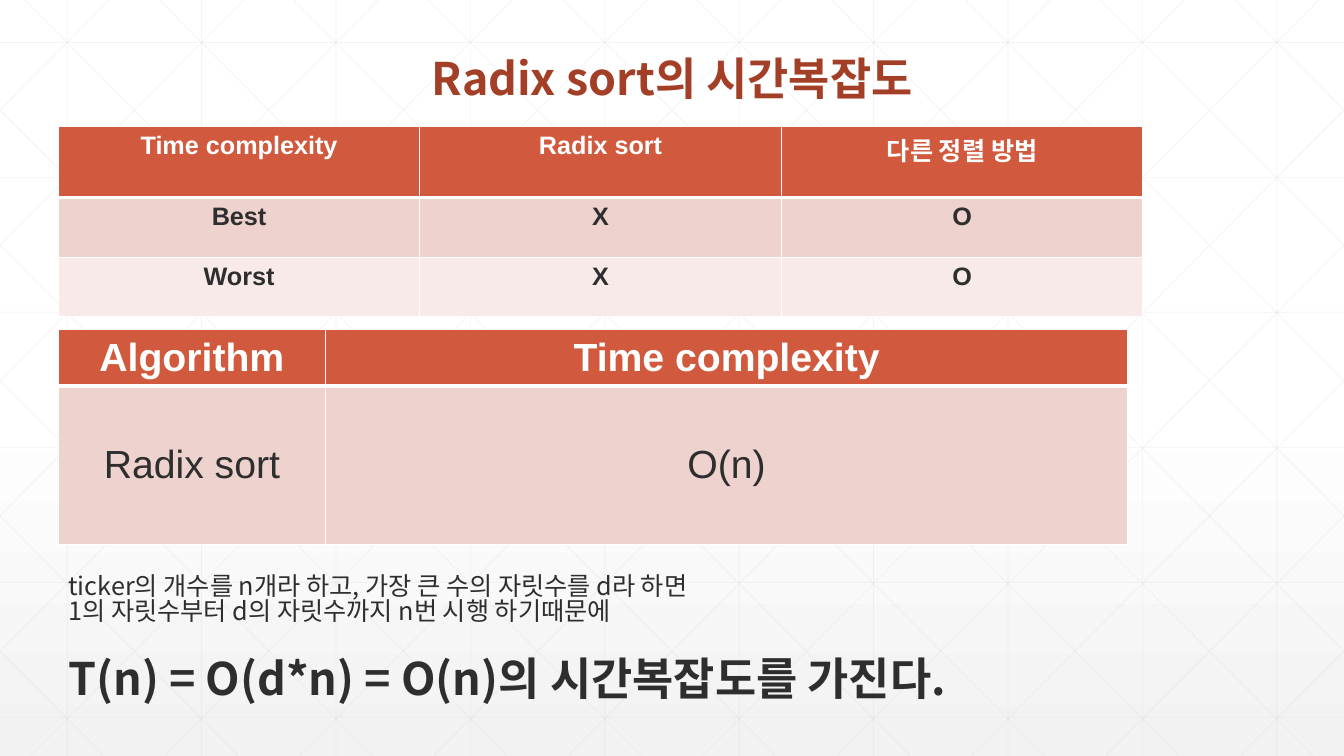
from lxml.etree import SubElement
from pptx import Presentation
from pptx.dml.color import RGBColor
from pptx.enum.shapes import MSO_CONNECTOR
from pptx.enum.text import MSO_ANCHOR, MSO_AUTO_SIZE, PP_ALIGN
from pptx.oxml import parse_xml
from pptx.oxml.ns import nsdecls, qn
from pptx.util import Cm, Pt

STRAIGHT = MSO_CONNECTOR.STRAIGHT
TOP, MIDDLE = MSO_ANCHOR.TOP, MSO_ANCHOR.MIDDLE
LEFT, CENTER = PP_ALIGN.LEFT, PP_ALIGN.CENTER
NO_AUTOFIT = MSO_AUTO_SIZE.NONE

WIDTH, HEIGHT = 33.87, 19.05
KOREAN_FONT, TABLE_FONT = "Noto Sans CJK KR", "Arial"
WHITE, DARK, ORANGE, RUST = "FFFFFF", "2D2E2D", "D15A3E", "A43F27"
PINK, PALE_PINK, GRID_GREY, BOTTOM_GREY = "EED2CE", "F7EAE8", "D9D9D9", "F2F2F2"


def colour(value):
    return RGBColor.from_string(value)


def write(paragraph, text, text_colour, paragraph_format, font_format):
    for name, value in paragraph_format.items():
        setattr(paragraph, name, value)
    run = paragraph.add_run()
    run.text = text
    for name, value in font_format.items():
        setattr(run.font, name, value)
    run.font.color.rgb = colour(text_colour)
    if run.font.name == KOREAN_FONT:
        SubElement(run.font._element, qn("a:ea"), typeface=KOREAN_FONT)


presentation = Presentation()
presentation.slide_width, presentation.slide_height = Cm(WIDTH), Cm(HEIGHT)
slide = presentation.slides.add_slide(presentation.slide_layouts[1])

background = slide.background.fill
background.gradient()
background.gradient_angle = 270
for stop, (position, value) in zip(background.gradient_stops, [(0.53, WHITE), (1, BOTTOM_GREY)]):
    stop.position = position
    stop.color.rgb = colour(value)

step = WIDTH / 10
grid_lines = [((i + 0.5) * step, 0, (i + 0.5) * step, HEIGHT) for i in range(10)]
grid_lines += [(0, 1.07 + 3.4 * i, WIDTH, 1.07 + 3.4 * i) for i in range(6)]
diagonal_run = 18.93
slope = HEIGHT / diagonal_run
for i in range(-5, 10):
    start = 0.63 + i * step
    left, right = max(0, start), min(WIDTH, start + diagonal_run)
    top, bottom = (left - start) * slope, (right - start) * slope
    grid_lines.append((left, top, right, bottom))
    grid_lines.append((WIDTH - left, top, WIDTH - right, bottom))

grid = slide.shapes.add_group_shape()
for ends in grid_lines:
    line = grid.shapes.add_connector(STRAIGHT, *map(Cm, ends))
    line.line.width = Pt(0.5)
    line.line.color.rgb = colour(GRID_GREY)
    SubElement(line._element.find(".//" + qn("a:srgbClr")), qn("a:alpha"), val="30000")
    SubElement(line._element.spPr, qn("a:effectLst"))
slide.shapes._spTree.insert(2, grid._element)

title, body = slide.placeholders
for shape, box in [(title, (3.61, 1.4, 26.67, 3.18)), (body, (1.47, 14.38, 28.24, 4.67))]:
    shape.left, shape.top, shape.width, shape.height = map(Cm, box)
    shape.text_frame.vertical_anchor = TOP
    shape.text_frame.auto_size = NO_AUTOFIT
    shape.text_frame.word_wrap = True

write(title.text_frame.paragraphs[0], "Radix sort의 시간복잡도", RUST,
      {"alignment": CENTER, "line_spacing": 0.81},
      {"name": KOREAN_FONT, "size": Pt(32), "bold": True})

body_lines = [
    ("ticker의 개수를 n개라 하고, 가장 큰 수의 자릿수를 d라 하면", 18, False, 0),
    ("1의 자릿수부터 d의 자릿수까지 n번 시행 하기때문에", 18, False, 0),
    ("T(n) = O(d*n) = O(n)의 시간복잡도를 가진다.", 32, True, 25),
]
for i, (text, size, bold, space) in enumerate(body_lines):
    paragraph = body.text_frame.add_paragraph() if i else body.text_frame.paragraphs[0]
    properties = paragraph._p.get_or_add_pPr()
    properties.set("marL", "0")
    properties.set("indent", "0")
    SubElement(properties, qn("a:buNone"))
    write(paragraph, text, DARK,
          {"alignment": LEFT, "line_spacing": 0.82, "space_before": Pt(space)},
          {"name": KOREAN_FONT, "size": Pt(size), "bold": bold})

tables = [
    {"top": 8.3, "columns": [6.73, 20.22], "rows": [1.42, 4.01], "size": 28,
     "anchor": MIDDLE, "bold_body": False,
     "cells": [["Algorithm", "Time complexity"], ["Radix sort", "O(n)"]]},
    {"top": 3.18, "columns": [9.11] * 3, "rows": [1.8, 1.5, 1.5], "size": 18,
     "anchor": TOP, "bold_body": True,
     "cells": [["Time complexity", "Radix sort", "다른 정렬 방법"],
               ["Best", "X", "O"], ["Worst", "X", "O"]]},
]
row_fills = [ORANGE, PINK, PALE_PINK]
for data in tables:
    columns, rows = data["columns"], data["rows"]
    table = slide.shapes.add_table(len(rows), len(columns), Cm(1.47), Cm(data["top"]),
                                   Cm(sum(columns)), Cm(sum(rows))).table
    for column, width in zip(table.columns, columns):
        column.width = Cm(width)
    for i, (row, height) in enumerate(zip(table.rows, rows)):
        row.height = Cm(height)
        borders = {"lnL": 1, "lnR": 1, "lnT": 3 if i == 1 else 1, "lnB": 1 if i else 3}
        for cell, text in zip(row.cells, data["cells"][i]):
            cell.vertical_anchor = data["anchor"]
            cell.fill.solid()
            cell.fill.fore_color.rgb = colour(row_fills[i])
            for position, (side, points) in enumerate(borders.items()):
                border = parse_xml(
                    f'<a:{side} {nsdecls("a")} w="{Pt(points)}"><a:solidFill>'
                    f'<a:srgbClr val="{WHITE}"/></a:solidFill></a:{side}>')
                cell._tc.tcPr.insert(position, border)
            write(cell.text_frame.paragraphs[0], text, DARK if i else WHITE,
                  {"alignment": CENTER},
                  {"name": TABLE_FONT, "size": Pt(data["size"]),
                   "bold": i == 0 or data["bold_body"]})

presentation.save("out.pptx")
